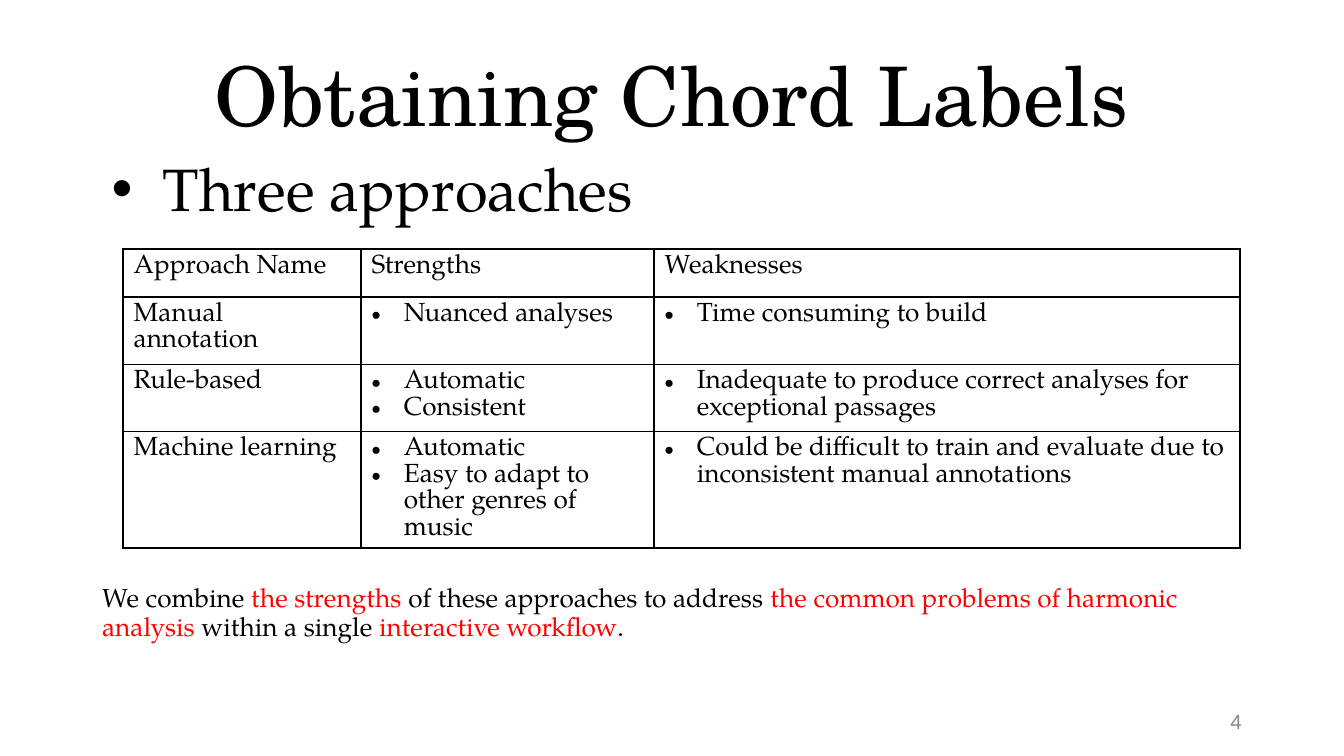
from lxml import etree
from pptx import Presentation
from pptx import util as u
from pptx.dml.color import RGBColor
from pptx.enum import text
from pptx.oxml.ns import qn

C = {"ink": "000000", "accent": "FF0000", "number": "888888"}
BODY, HEAD = "TeX Gyre Pagella", "TeX Gyre Schola"

prs = Presentation()
prs.slide_width = u.Inches(10)
prs.slide_height = prs.slide_width * 9 // 16
col, row = prs.slide_width / 100, prs.slide_height / 100  # one percent of the slide
s = prs.slides.add_slide(prs.slide_layouts[3])


def write(p, words, size=14, font=BODY, color="ink", align=text.PP_ALIGN.LEFT, spacing=1.0):
    """Add a formatted run to a paragraph."""
    p.alignment, p.line_spacing = align, spacing
    p.space_before = p.space_after = u.Pt(0)
    r = p.add_run()
    r.text = words
    r.font.size, r.font.name, r.font.bold = u.Pt(size), font, False
    r.font.color.rgb = RGBColor.from_string(C[color])


def bullet(p, indent=0.0):
    """Give a paragraph a hanging bullet, or none when the indent is zero."""
    pPr = p._p.get_or_add_pPr()
    pPr.set("marL", str(u.Inches(indent)))
    pPr.set("indent", str(-u.Inches(indent)))
    if not indent:
        etree.SubElement(pPr, qn("a:buNone"))
        return
    clr = etree.SubElement(pPr, qn("a:buClr"))
    etree.SubElement(clr, qn("a:srgbClr"), val=C["ink"])
    etree.SubElement(pPr, qn("a:buFont"), typeface="Arial")
    etree.SubElement(pPr, qn("a:buChar"), char="•")


# Frames: left, top, width, height in percent of the slide
title, approaches, summary = s.placeholders
number = s.shapes.add_textbox(0, 0, 0, 0)
middle, top = text.MSO_ANCHOR.MIDDLE, text.MSO_ANCHOR.TOP
for sp, frame, anchor, inset in [
    (title, (5, 4.1, 90, 16.7), middle, (0.1, 0.05)),
    (approaches, (7.6, 19.4, 86.2, 9.8), top, (0.07, 0.04)),
    (summary, (6.9, 76.7, 86.2, 9.5), top, (0.07, 0.04)),
    (number, (70.6, 92.7, 22.5, 5.3), middle, (0.07, 0.04)),
]:
    x, y, w, h = frame
    sp.left, sp.top = int(x * col), int(y * row)
    sp.width, sp.height = int(w * col), int(h * row)
    tf = sp.text_frame
    tf.word_wrap, tf.auto_size, tf.vertical_anchor = True, text.MSO_AUTO_SIZE.NONE, anchor
    tf.margin_left = tf.margin_right = u.Inches(inset[0])
    tf.margin_top = tf.margin_bottom = u.Inches(inset[1])

# Title, lead bullet and slide number
write(title.text_frame.paragraphs[0], "Obtaining Chord Labels", size=44, font=HEAD,
      align=text.PP_ALIGN.CENTER)
p = approaches.text_frame.paragraphs[0]
write(p, "Three approaches", size=32)
bullet(p, 0.38)
write(number.text_frame.paragraphs[0], "4", size=11, font="Arial", color="number",
      align=text.PP_ALIGN.RIGHT)

# Summary with highlighted phrases
p = summary.text_frame.paragraphs[0]
for words, color in [
    ("We combine ", "ink"),
    ("the strengths ", "accent"),
    ("of these approaches to address ", "ink"),
    ("the common problems of harmonic analysis", "accent"),
    (" within a single ", "ink"),
    ("interactive workflow", "accent"),
    (".", "ink"),
]:
    write(p, words, color=color, spacing=0.9)
bullet(p)

# Comparison table: each cell is a list of paragraphs
rows = [
    (["Approach Name"], ["Strengths"], ["Weaknesses"]),
    (["Manual annotation"], ["Nuanced analyses"], ["Time consuming to build"]),
    (["Rule-based"], ["Automatic", "Consistent"],
     ["Inadequate to produce correct analyses for exceptional passages"]),
    (["Machine learning"], ["Automatic", "Easy to adapt to other genres of music"],
     ["Could be difficult to train and evaluate due to inconsistent manual annotations"]),
]
widths, heights = (17.7, 21.8, 43.6), (6.4, 8.9, 8.9, 15.3)
table = s.shapes.add_table(len(rows), len(widths), int(9.15 * col), int(32.9 * row),
                           int(sum(widths) * col), int(sum(heights) * row)).table
table.first_row = table.horz_banding = False
for column, w in zip(table.columns, widths):
    column.width = int(w * col)
for i, (line, h) in enumerate(zip(rows, heights)):
    table.rows[i].height = int(h * row)
    for j, items in enumerate(line):
        cell = table.cell(i, j)
        cell.margin_left = cell.margin_right = u.Inches(0.08)
        cell.margin_top = cell.margin_bottom = u.Inches(0.04)
        for k, words in enumerate(items):
            tf = cell.text_frame
            p = tf.add_paragraph() if k else tf.paragraphs[0]
            write(p, words)
            if i and j:
                bullet(p, 0.24)
        # Black one-point borders, no fill
        tcPr = cell._tc.get_or_add_tcPr()
        for side in ("L", "R", "T", "B"):
            ln = etree.SubElement(tcPr, qn(f"a:ln{side}"), w=str(u.Pt(1)))
            fill = etree.SubElement(ln, qn("a:solidFill"))
            etree.SubElement(fill, qn("a:srgbClr"), val=C["ink"])
        cell.fill.background()

prs.save("out.pptx")
